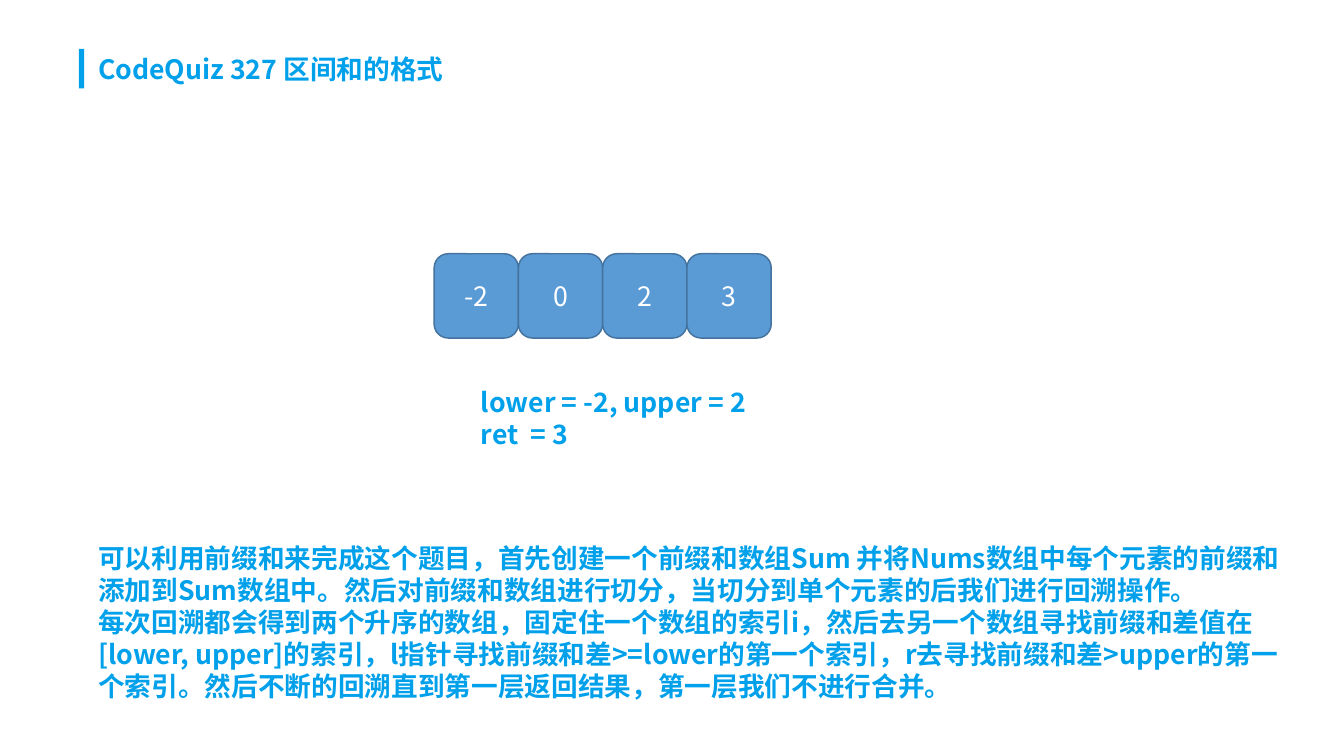
import dataclasses
import lxml.etree
import pptx
import pptx.dml.color
import pptx.enum.shapes
import pptx.enum.text
import pptx.oxml.ns
import pptx.util

SCALE = 9144  # EMU per px, 100 px to the inch
FONT = "Noto Sans CJK JP"
CYAN, BLUE, NAVY, WHITE = "00A0EA", "5B9BD5", "43739E", "FFFFFF"
KINDS = pptx.enum.shapes.MSO_SHAPE
ALIGN = pptx.enum.text.PP_ALIGN
ANCHOR = pptx.enum.text.MSO_ANCHOR


@dataclasses.dataclass
class Box:
    left: int
    top: int
    width: int
    height: int

    def emu(self) -> list[pptx.util.Emu]:
        return [px(n) for n in dataclasses.astuple(self)]


def px(count: int) -> pptx.util.Emu:
    return pptx.util.Emu(count * SCALE)


def color(code: str) -> pptx.dml.color.RGBColor:
    return pptx.dml.color.RGBColor.from_string(code)


def write(shape, lines: list[str], tint: str = CYAN, bold: bool = True,
          align=ALIGN.LEFT, anchor=ANCHOR.TOP) -> None:
    frame = shape.text_frame
    frame.text = "\n".join(lines)
    frame.word_wrap = True
    frame.auto_size = pptx.enum.text.MSO_AUTO_SIZE.NONE
    frame.vertical_anchor = anchor
    for para in frame.paragraphs:
        # No bullet and no indent
        props = para._p.get_or_add_pPr()
        props.set("marL", "0")
        props.set("indent", "0")
        lxml.etree.SubElement(props, pptx.oxml.ns.qn("a:buNone"))
        para.alignment = align
        para.space_before = pptx.util.Pt(0)
        font = para.font
        font.size, font.bold, font.name = pptx.util.Pt(18), bold, FONT
        font.color.rgb = color(tint)
        # East Asian typeface
        asian = lxml.etree.SubElement(props.find(pptx.oxml.ns.qn("a:defRPr")),
                                      pptx.oxml.ns.qn("a:ea"))
        asian.set("typeface", FONT)


def place(shape, box: Box) -> None:
    shape.left, shape.top, shape.width, shape.height = box.emu()


def draw(slide, kind, box: Box, fill: str, edge: str = ""):
    shape = slide.shapes.add_shape(kind, *box.emu())
    shape.shadow.inherit = False
    shape.fill.solid()
    shape.fill.fore_color.rgb = color(fill)
    if edge:
        shape.line.color.rgb = color(edge)
        shape.line.width = pptx.util.Pt(1)
    else:
        shape.line.fill.background()
    return shape


def main() -> None:
    deck = pptx.Presentation()
    deck.slide_width, deck.slide_height = px(1260), px(709)
    slide = deck.slides.add_slide(deck.slide_layouts[1])

    # Title with its accent bar
    draw(slide, KINDS.RECTANGLE, Box(74, 46, 5, 37), CYAN)
    title = slide.shapes.title
    place(title, Box(82, 45, 364, 40))
    write(title, ["CodeQuiz 327 区间和的格式"])

    # Number array
    side = 79
    for i, value in enumerate(["-2", "0", "2", "3"]):
        cell = draw(slide, KINDS.ROUNDED_RECTANGLE,
                    Box(407 + i * side, 238, side, side), BLUE, NAVY)
        write(cell, [value], WHITE, False, ALIGN.CENTER, ANCHOR.MIDDLE)

    # Bounds and result
    bounds = slide.shapes.add_textbox(*Box(441, 357, 281, 71).emu())
    write(bounds, ["lower = -2, upper = 2", "ret  = 3"])

    # Explanation
    body = slide.placeholders[1]
    place(body, Box(82, 503, 1128, 162))
    write(body, [
        "可以利用前缀和来完成这个题目，首先创建一个前缀和数组Sum 并将Nums数组中每个元素的前缀"
        "和添加到Sum数组中。然后对前缀和数组进行切分，当切分到单个元素的后我们进行回溯操作。",
        "每次回溯都会得到两个升序的数组，固定住一个数组的索引i，然后去另一个数组寻找前缀和差值在"
        "[lower, upper]的索引，l指针寻找前缀和差>=lower的第一个索引，r去寻找前缀和差>upper"
        "的第一个索引。然后不断的回溯直到第一层返回结果，第一层我们不进行合并。",
    ])

    deck.save("out.pptx")


if __name__ == "__main__":
    main()
